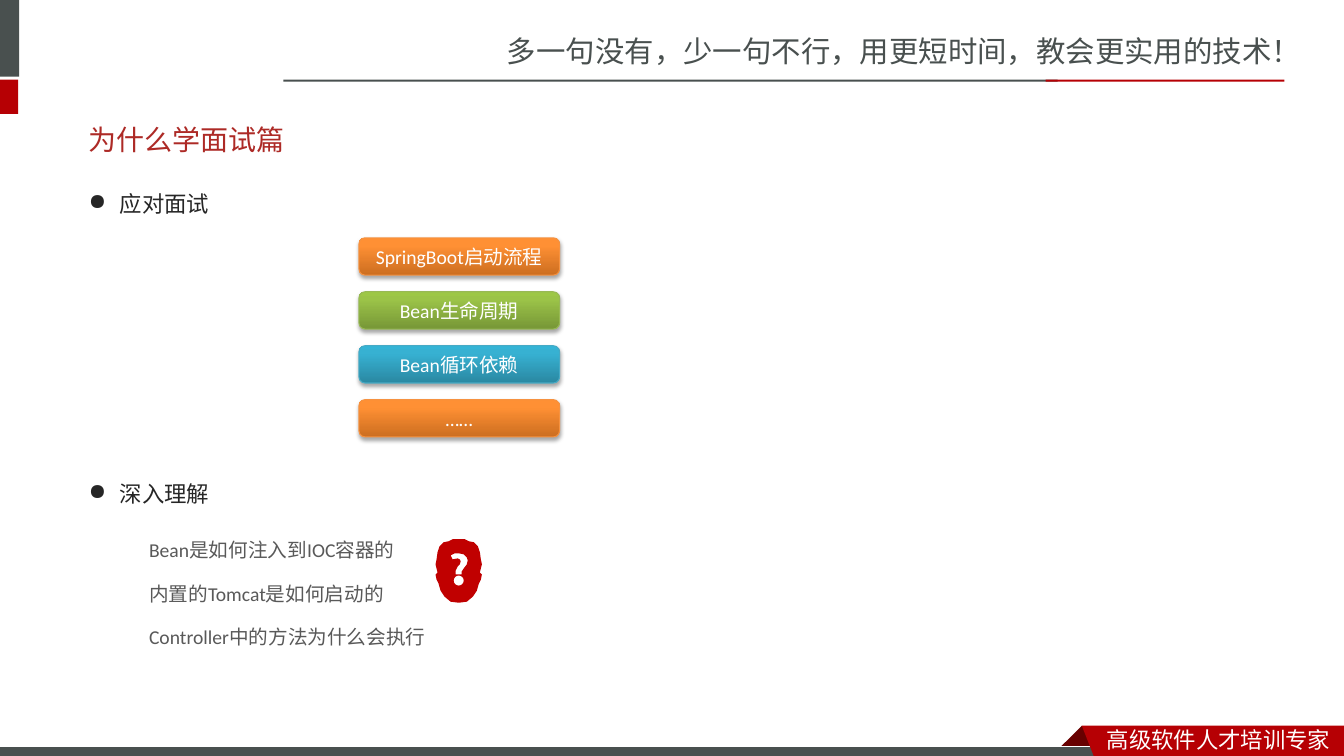
from copy import deepcopy
from math import cos, pi, sin

from lxml import etree
from pptx import Presentation
from pptx.dml.color import RGBColor
from pptx.enum.shapes import MSO_SHAPE as SHAPE
from pptx.enum.text import MSO_ANCHOR as ANCHOR, PP_ALIGN as ALIGN
from pptx.oxml import parse_xml
from pptx.oxml.ns import nsdecls, qn
from pptx.util import Inches, Pt

SLATE = RGBColor(0x49, 0x50, 0x4F)
RED = RGBColor(0xB6, 0x00, 0x04)
FOLD_RED = RGBColor(0x68, 0x00, 0x00)
HEAD_RED = RGBColor(0xC0, 0x00, 0x00)
TITLE_RED = RGBColor(0xAD, 0x2A, 0x26)
WHITE = RGBColor(0xFF, 0xFF, 0xFF)
INK = RGBColor(0x26, 0x26, 0x26)
GREY = RGBColor(0x59, 0x59, 0x59)
# Each set: gradient from bottom to top, then the outline
ORANGE = [RGBColor(0xCC, 0x6E, 0x20), RGBColor(0xFF, 0x90, 0x34),
          RGBColor(0xFF, 0x91, 0x36), RGBColor(0xF6, 0x92, 0x40)]
GREEN = [RGBColor(0x77, 0x97, 0x37), RGBColor(0x9B, 0xC3, 0x48),
         RGBColor(0x9D, 0xC7, 0x46), RGBColor(0x98, 0xB9, 0x55)]
BLUE = [RGBColor(0x2A, 0x88, 0xA2), RGBColor(0x37, 0xB1, 0xD2),
        RGBColor(0x34, 0xB4, 0xD6), RGBColor(0x46, 0xAA, 0xC5)]
CJK_FONT = "Noto Sans CJK SC"

prs = Presentation()
prs.slide_width, prs.slide_height = Inches(13.33), Inches(7.5)
slide = prs.slides.add_slide(prs.slide_layouts[6])
shapes = slide.shapes


def write(shape, text, size, font_name, color):
    """Fill the shape with one wrapped paragraph and return that paragraph."""
    shape.text_frame.word_wrap = True
    line = shape.text_frame.paragraphs[0]
    line.text = text
    font = line.font
    font.size, font.name = Pt(size), font_name
    font.color.rgb = color
    east_asian = etree.SubElement(font._element, qn("a:ea"))
    east_asian.set("typeface", CJK_FONT)
    return line


def add_outline(contours, color):
    """Draw closed contours, given in inches, as one filled shape."""
    builder = None
    for contour in contours:
        points = [(Inches(x), Inches(y)) for x, y in contour]
        if builder is None:
            builder = shapes.build_freeform(*points[0], scale=1.0)
        else:
            builder.move_to(*points[0])
        builder.add_line_segments(points[1:], close=True)
    outline = builder.convert_to_shape()
    outline.shadow.inherit = False
    outline.fill.solid()
    outline.fill.fore_color.rgb = color
    outline.line.fill.background()


# Page frame
slogan = shapes.add_textbox(Inches(4.93), Inches(0.28), Inches(8.41), Inches(0.47))
write(slogan, "多一句没有，少一句不行，用更短时间，教会更实用的技术！", 21, CJK_FONT, SLATE)

add_outline([[(10.73, 7.2), (10.95, 7.42), (10.94, 7.43), (10.52, 7.43), (10.51, 7.42)]],
            FOLD_RED)
for left, top, width, height, color in [
    (-0.06, 0, 0.25, 0.76, SLATE),
    (-0.06, 0.79, 0.24, 0.34, RED),
    (2.81, 0.79, 7.68, 0.02, SLATE),
    (10.37, 0.79, 2.37, 0.02, RED),
    (-0.01, 7.41, 11, 0.12, SLATE),
]:
    bar = shapes.add_shape(SHAPE.RECTANGLE, Inches(left), Inches(top),
                           Inches(width), Inches(height))
    bar.shadow.inherit = False
    bar.fill.solid()
    bar.fill.fore_color.rgb = color
    bar.line.fill.background()
# The footer bar, drawn last, has a white edge
bar.line.color.rgb = WHITE
bar.line.width = Pt(0.75)

add_outline([[(10.73, 7.2), (13.33, 7.2), (13.33, 7.54), (10.86, 7.53)]], RED)
ribbon = shapes.add_textbox(Inches(10.88), Inches(7.15), Inches(2.45), Inches(0.37))
write(ribbon, "高级软件人才培训专家", 16, CJK_FONT, WHITE)

# Title and the two bulleted headings
title = shapes.add_textbox(Inches(0.78), Inches(1.1), Inches(11.7), Inches(0.57))
title.text_frame.vertical_anchor = ANCHOR.MIDDLE
write(title, "为什么学面试篇", 20, "Arial", TITLE_RED)

for top, text in [(1.7, "应对面试"), (4.58, "深入理解")]:
    heading = shapes.add_textbox(Inches(0.78), Inches(top), Inches(8.46), Inches(0.57))
    indent = heading.text_frame.paragraphs[0]._p.get_or_add_pPr()
    indent.set("marL", str(Inches(0.31)))
    indent.set("indent", str(-Inches(0.31)))
    etree.SubElement(indent, qn("a:buChar")).set("char", "●")
    write(heading, text, 16, "Fira Code", INK).line_spacing = 1.5

# Interview topics
for row, (topic, colors) in enumerate([
    ("SpringBoot启动流程", ORANGE),
    ("Bean生命周期", GREEN),
    ("Bean循环依赖", BLUE),
    ("……", ORANGE),
]):
    button = shapes.add_shape(SHAPE.ROUNDED_RECTANGLE, Inches(3.56),
                              Inches(2.36 + row * 0.535), Inches(1.99), Inches(0.37))
    button.fill.gradient()
    button.fill.gradient_angle = 90
    stop_list = button._element.spPr.find(".//" + qn("a:gsLst"))
    stop_list.append(deepcopy(stop_list[0]))
    for stop, position, color in zip(button.fill.gradient_stops, (0, 0.8, 1), colors):
        stop.position = position
        stop.color.rgb = color
    button.line.color.rgb = colors[3]
    button.line.width = Pt(0.75)
    button._element.spPr.append(parse_xml(
        f'<a:effectLst {nsdecls("a")}>'
        f'<a:outerShdw blurRad="{Pt(3.1)}" dist="{Pt(1.8)}" dir="5400000" rotWithShape="0">'
        '<a:srgbClr val="000000"><a:alpha val="35000"/></a:srgbClr>'
        '</a:outerShdw></a:effectLst>'))
    button.text_frame.vertical_anchor = ANCHOR.MIDDLE
    write(button, topic, 14, "Calibri", WHITE).alignment = ALIGN.CENTER

# Head with a question mark cut out of it
CENTER = 4.55
half_head = [(0, 5.35), (0.06, 5.35), (0.1, 5.37), (0.15, 5.38), (0.19, 5.42), (0.21, 5.48),
             (0.22, 5.55), (0.23, 5.6), (0.21, 5.68), (0.23, 5.7), (0.22, 5.75), (0.2, 5.79),
             (0.18, 5.86), (0.14, 5.92), (0.08, 5.97), (0, 5.98)]
head = ([(CENTER + x, y) for x, y in half_head]
        + [(CENTER - x, y) for x, y in half_head[-2:0:-1]])
dot = [(CENTER + 0.05 * cos(step * pi / 8), 5.76 + 0.05 * sin(step * pi / 8))
       for step in range(16)]
hook = [(4.52, 5.7), (4.52, 5.66), (4.54, 5.62), (4.56, 5.6), (4.57, 5.57), (4.56, 5.55),
        (4.54, 5.54), (4.49, 5.55), (4.47, 5.51), (4.51, 5.49), (4.55, 5.49), (4.6, 5.5),
        (4.63, 5.53), (4.64, 5.56), (4.63, 5.6), (4.6, 5.64), (4.58, 5.67), (4.58, 5.7)]
add_outline([head, dot, hook], HEAD_RED)

for row, (question, width) in enumerate([
    ("Bean是如何注入到IOC容器的", 2.66),
    ("内置的Tomcat是如何启动的", 2.55),
    ("Controller中的方法为什么会执行", 2.97),
]):
    question_box = shapes.add_textbox(Inches(1.38), Inches(5.29 + row * 0.43),
                                      Inches(width), Inches(0.34))
    write(question_box, question, 14, "Calibri", GREY)

prs.save("out.pptx")
